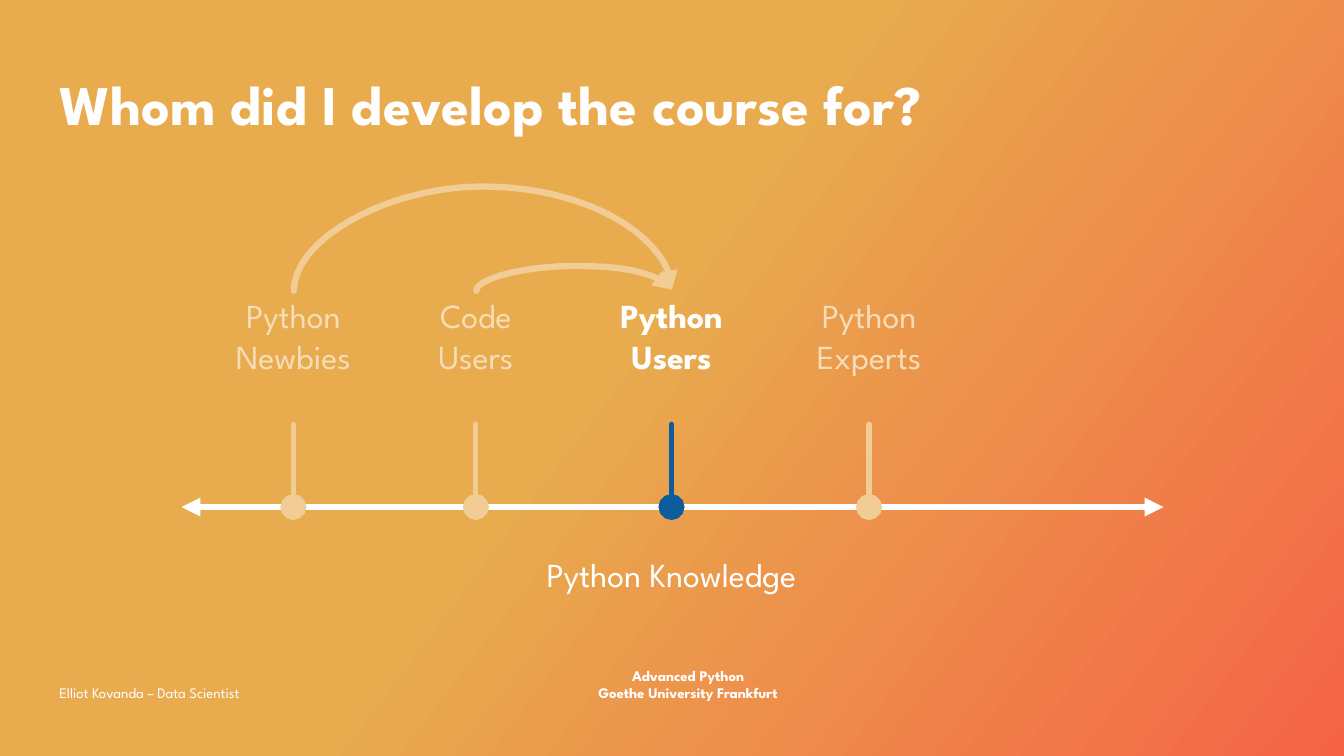
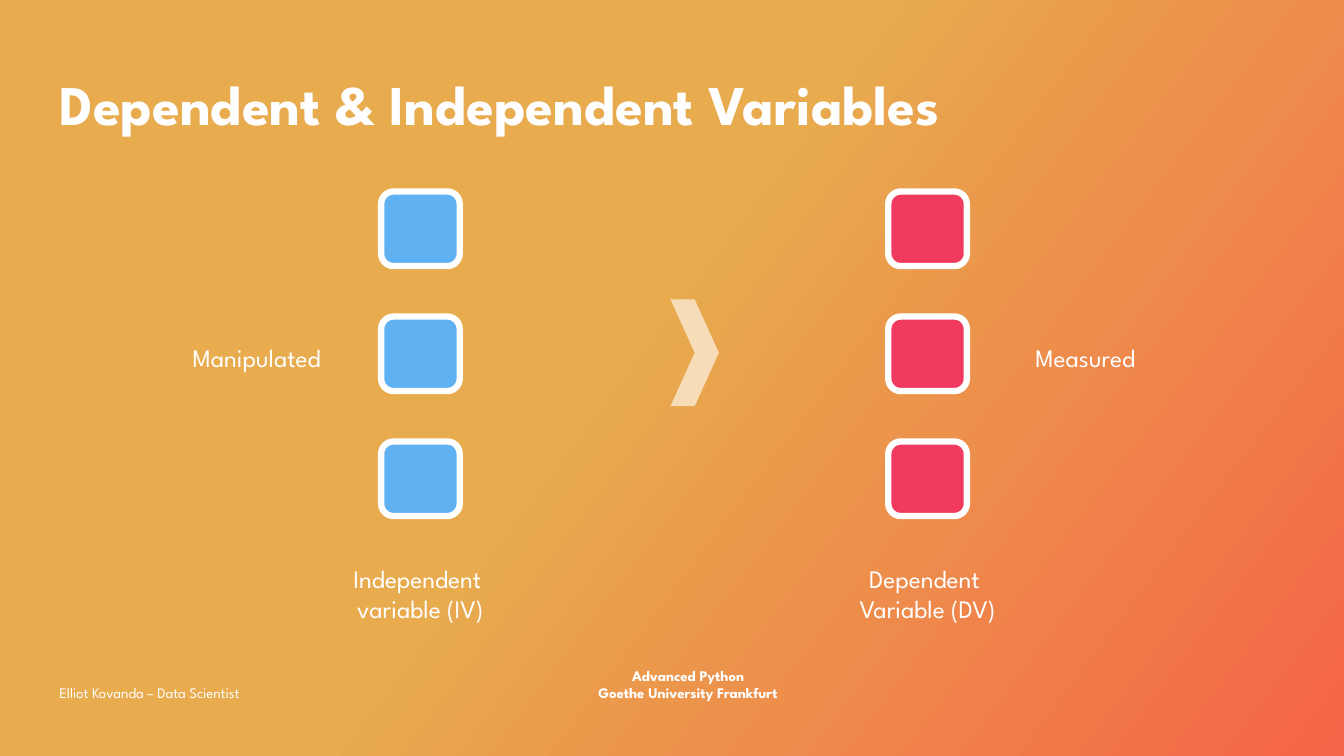
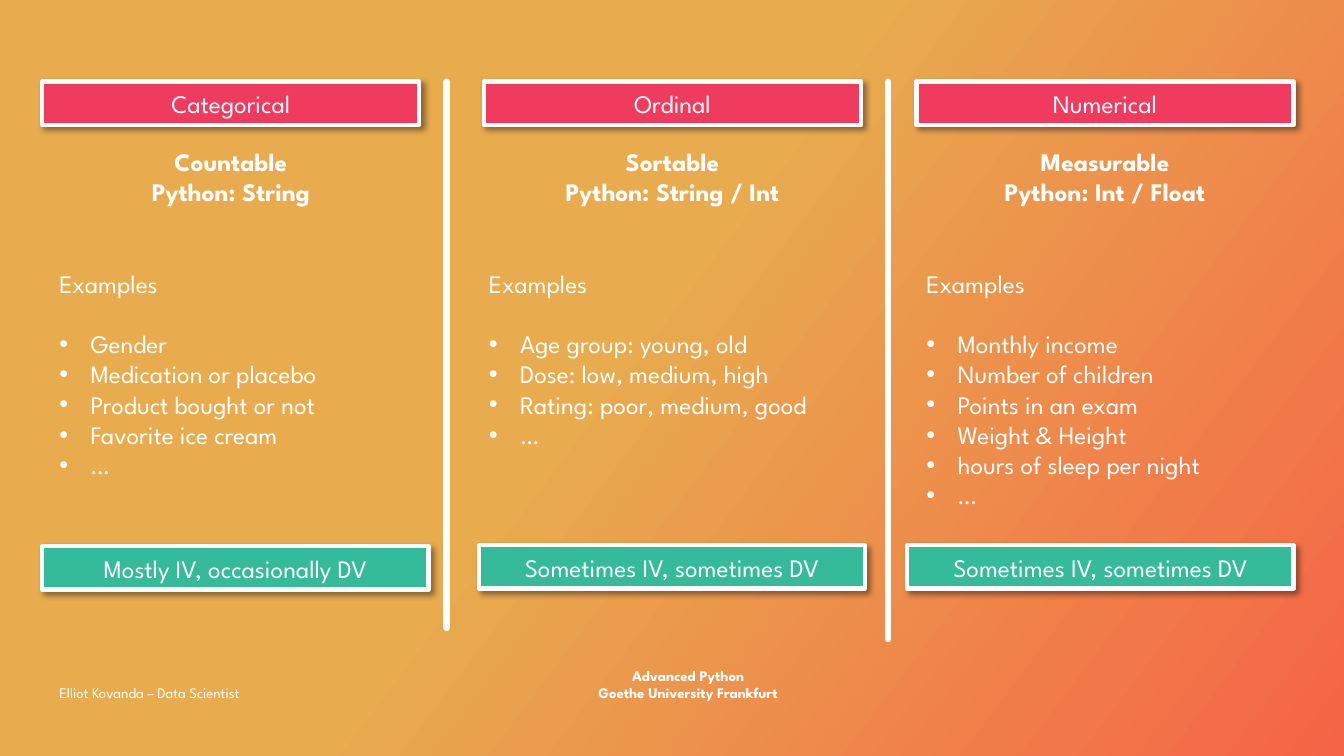
import pptx
import pptx.dml.color
import pptx.enum.shapes
import pptx.enum.text
import pptx.oxml
import pptx.oxml.ns
import pptx.util
import copy

Inches = pptx.util.Inches
Pt = pptx.util.Pt
RGBColor = pptx.dml.color.RGBColor
SHAPE = pptx.enum.shapes.MSO_SHAPE
CONNECTOR = pptx.enum.shapes.MSO_CONNECTOR
ALIGN = pptx.enum.text.PP_ALIGN
ANCHOR = pptx.enum.text.MSO_ANCHOR
qn = pptx.oxml.ns.qn

FONT = "League Spartan"
WHITE = RGBColor(0xFF, 0xFF, 0xFF)
TITLE_WHITE = RGBColor(0xFE, 0xFE, 0xFE)
AMBER = RGBColor(0xE8, 0xAB, 0x4E)
CORAL = RGBColor(0xF5, 0x64, 0x47)
SAND = RGBColor(0xF1, 0xCD, 0x95)
CREAM = RGBColor(0xF6, 0xDD, 0xB8)
NAVY = RGBColor(0x0D, 0x5C, 0x9C)
SKY = RGBColor(0x60, 0xB1, 0xF2)
RED = RGBColor(0xF0, 0x3B, 0x5E)
GREEN = RGBColor(0x35, 0xBB, 0x9A)

TITLE_ONLY, BLANK = 5, 6
LINE_18PT = 21.6


def xml(tag, parent=None, **attrs):
    """Make an element such as a:ln, optionally as the last child of parent."""
    el = pptx.oxml.parse_xml(f"<{tag} {pptx.oxml.ns.nsdecls('a')}/>")
    for key, value in attrs.items():
        el.set(key, str(value))
    if parent is not None:
        parent.append(el)
    return el


def add_drop_shadow(effects):
    shadow = xml("a:outerShdw", effects, blurRad=Pt(4), dist=Pt(3),
                 dir=45 * 60000, algn="tl", rotWithShape=0)
    xml("a:alpha", xml("a:srgbClr", shadow, val="000000"), val=40000)


class Deck:
    """Holds the style, the presentation and the current slide."""

    def __init__(self):
        self.prs = pptx.Presentation()
        self.prs.slide_width = Inches(13.33)
        self.prs.slide_height = Inches(7.5)
        self.slide = None
        self.paint_background()

    def paint_background(self):
        master = self.prs.slide_master
        fill = master.background.fill
        fill.gradient()
        fill.gradient_angle = 360 - 37
        for stop, color, pos in zip(fill.gradient_stops, (AMBER, CORAL), (0, 1)):
            stop.color.rgb = color
            stop.position = pos
        first = master.element.find(".//" + qn("a:gsLst"))[0]
        middle = copy.deepcopy(first)
        middle.set("pos", "46000")
        first.addnext(middle)

    def add_slide(self, title=None):
        layout = self.prs.slide_layouts[BLANK if title is None else TITLE_ONLY]
        self.slide = self.prs.slides.add_slide(layout)
        if title is not None:
            self.title(title)

    def footers(self):
        """Put both footers on the master, where all slides show them."""
        for x, text, align, bold in (
                (0.49, "Elliot Kovanda – Data Scientist", ALIGN.LEFT, False),
                (5.6, "Advanced Python\vGoethe University Frankfurt", ALIGN.CENTER, True)):
            sp = self.text(text, x, 6.61, 2.45, 0.4, 10.5, align=align, bold=bold)
            tf = sp.text_frame
            tf.auto_size = pptx.enum.text.MSO_AUTO_SIZE.NONE
            tf.word_wrap = True
            tf.vertical_anchor = ANCHOR.BOTTOM
            self.prs.slide_master.shapes.element.append(sp.element)

    def format_text(self, tf, size, color=WHITE, align=ALIGN.CENTER, bold=False):
        for p in tf.paragraphs:
            p.alignment = align
            for r in p.runs:
                r.font.name = FONT
                r.font.size = Pt(size)
                r.font.bold = bold
                r.font.color.rgb = color

    def title(self, text):
        sp = self.slide.shapes.title
        sp.left, sp.top = Inches(0.49), Inches(0.49)
        sp.width, sp.height = Inches(11.56), Inches(1.06)
        tf = sp.text_frame
        tf.text = text
        tf.vertical_anchor = ANCHOR.MIDDLE
        self.format_text(tf, 40, TITLE_WHITE, ALIGN.LEFT, True)
        effects = xml("a:effectLst")
        sp.element.find(".//" + qn("a:rPr")).find(qn("a:solidFill")).addnext(effects)
        add_drop_shadow(effects)

    def text(self, text, x, y, w, h, size=18, color=WHITE, align=ALIGN.CENTER, bold=False):
        sp = self.slide.shapes.add_textbox(Inches(x), Inches(y), Inches(w), Inches(h))
        tf = sp.text_frame
        tf.word_wrap = False
        tf.auto_size = pptx.enum.text.MSO_AUTO_SIZE.SHAPE_TO_FIT_TEXT
        tf.text = text
        self.format_text(tf, size, color, align, bold)
        return sp

    def bullets(self, heading, items, x, y, w, h):
        sp = self.text("\n".join([heading] + items), x, y, w, h, align=ALIGN.LEFT)
        points = sp.text_frame.paragraphs[1:]
        points[0].space_before = Pt(LINE_18PT)
        for p in points:
            pPr = p._p.get_or_add_pPr()
            pPr.set("marL", str(Inches(0.31)))
            pPr.set("indent", str(-Inches(0.31)))
            xml("a:buFont", pPr, typeface="Arial")
            xml("a:buChar", pPr, char="•")

    def shape(self, kind, x, y, w, h, fill, line_width=0):
        sp = self.slide.shapes.add_shape(kind, Inches(x), Inches(y), Inches(w), Inches(h))
        sp.shadow.inherit = False
        sp.fill.solid()
        sp.fill.fore_color.rgb = fill
        if line_width:
            sp.line.color.rgb = WHITE
            sp.line.width = Pt(line_width)
        else:
            sp.line.fill.background()
        return sp

    def banner(self, text, x, y, w, fill):
        sp = self.shape(SHAPE.RECTANGLE, x, y, w, 0.43, fill, 3)
        add_drop_shadow(sp.element.spPr.find(qn("a:effectLst")))
        tf = sp.text_frame
        tf.text = text
        tf.vertical_anchor = ANCHOR.MIDDLE
        self.format_text(tf, 18)

    def line(self, x1, y1, x2, y2, color=WHITE, width=4.5, head=None, tail=None,
             size="med", kind=CONNECTOR.STRAIGHT):
        c = self.slide.shapes.add_connector(
            kind, Inches(x1), Inches(y1), Inches(x2), Inches(y2))
        c.line.color.rgb = color
        c.line.width = Pt(width)
        ln = c.element.spPr.find(qn("a:ln"))
        ln.set("cap", "rnd")
        for tag, end in (("a:headEnd", head), ("a:tailEnd", tail)):
            if end:
                xml(tag, ln, type=end, w=size, len=size)
        xml("a:effectLst", c.element.spPr)
        return c

    def arc(self, x1, x2, y, rise):
        """Curved arrow from x1 to x2 that climbs by rise above y.

        The connector lies upright and is turned by 90 degrees.
        """
        mid, half, thin = (x1 + x2) / 2, (x2 - x1) / 2, 0.01
        c = self.line(mid + thin, y + half, mid, y - half, SAND,
                      tail="triangle", kind=CONNECTOR.CURVE)
        spPr = c.element.spPr
        spPr.find(qn("a:xfrm")).set("rot", str(90 * 60000))
        geom = spPr.find(qn("a:prstGeom"))
        geom.set("prst", "curvedConnector3")
        for old in list(geom):
            geom.remove(old)
        xml("a:gd", xml("a:avLst", geom), name="adj1",
            fmla=f"val {round(rise / thin * 100000)}")


def audience_slide(deck):
    deck.add_slide("Whom did I develop the course for?")
    axis_y = 5.03
    deck.line(1.8, axis_y, 11.54, axis_y, head="triangle", tail="triangle")
    deck.text("Python Knowledge", 5.28, 5.45, 2.76, 0.5, 24)
    groups = ((2.91, "Python\vNewbies"), (4.72, "Code\vUsers"),
              (6.66, "Python\vUsers"), (8.62, "Python\vExperts"))
    target = 6.66
    for x, label in groups:
        chosen = x == target
        deck.line(x, 4.21, x, axis_y, NAVY if chosen else SAND, 3.75,
                  tail="oval", size="lg")
        deck.text(label, x - 0.83, 2.88, 1.66, 0.91, 24,
                  WHITE if chosen else CREAM, bold=chosen)
    for start, rise in ((2.91, 1.05), (4.72, 0.25)):
        deck.arc(start, target, 2.88, rise)


def variables_slide(deck):
    deck.add_slide("Dependent & Independent Variables")
    for x, fill, label in ((3.78, SKY, "Independent \vvariable (IV)"),
                           (8.81, RED, "Dependent \vVariable (DV)")):
        for row in range(3):
            deck.shape(SHAPE.ROUNDED_RECTANGLE, x, 1.9 + 1.24 * row, 0.78, 0.74, fill, 4.5)
        deck.text(label, x - 0.55, 5.54, 1.88, 0.71)
    deck.shape(SHAPE.CHEVRON, 6.65, 2.97, 0.48, 1.06, CREAM)
    deck.text("Manipulated", 1.1, 3.35, 2.18, 0.4, align=ALIGN.RIGHT)
    deck.text("Measured", 10.17, 3.35, 1.44, 0.4, align=ALIGN.LEFT)


def scales_slide(deck):
    deck.add_slide()
    for x, bottom in ((4.43, 6.23), (8.81, 6.34)):
        deck.line(x, 0.81, x, bottom)
    columns = (
        # name, left; traits; examples, left, width; role, left, top
        ("Categorical", 0.42, "Countable\vPython: String",
         ["Gender", "Medication or placebo", "Product bought or not",
          "Favorite ice cream", "…"], 0.49, 3.37,
         "Mostly IV, occasionally DV", 0.42, 5.42),
        ("Ordinal", 4.8, "Sortable\vPython: String / Int",
         ["Age group: young, old", "Dose: low, medium, high",
          "Rating: poor, medium, good", "…"], 4.75, 4.02,
         "Sometimes IV, sometimes DV", 4.75, 5.41),
        ("Numerical", 9.09, "Measurable\vPython: Int / Float",
         ["Monthly income", "Number of children", "Points in an exam",
          "Weight & Height", "hours of sleep per night", "…"], 9.09, 3.66,
         "Sometimes IV, sometimes DV", 9, 5.41),
    )
    for name, x, traits, examples, list_x, list_w, role, role_x, role_y in columns:
        deck.banner(name, x, 0.81, 3.74, RED)
        deck.text(traits, x + 0.67, 1.4, 2.4, 0.71, bold=True)
        deck.bullets("Examples", examples, list_x, 2.61, list_w,
                     0.7 + 0.3 * len(examples))
        deck.banner(role, role_x, role_y, 3.83, GREEN)


def main():
    deck = Deck()
    audience_slide(deck)
    deck.footers()
    variables_slide(deck)
    scales_slide(deck)
    deck.prs.save("out.pptx")


if __name__ == "__main__":
    main()
